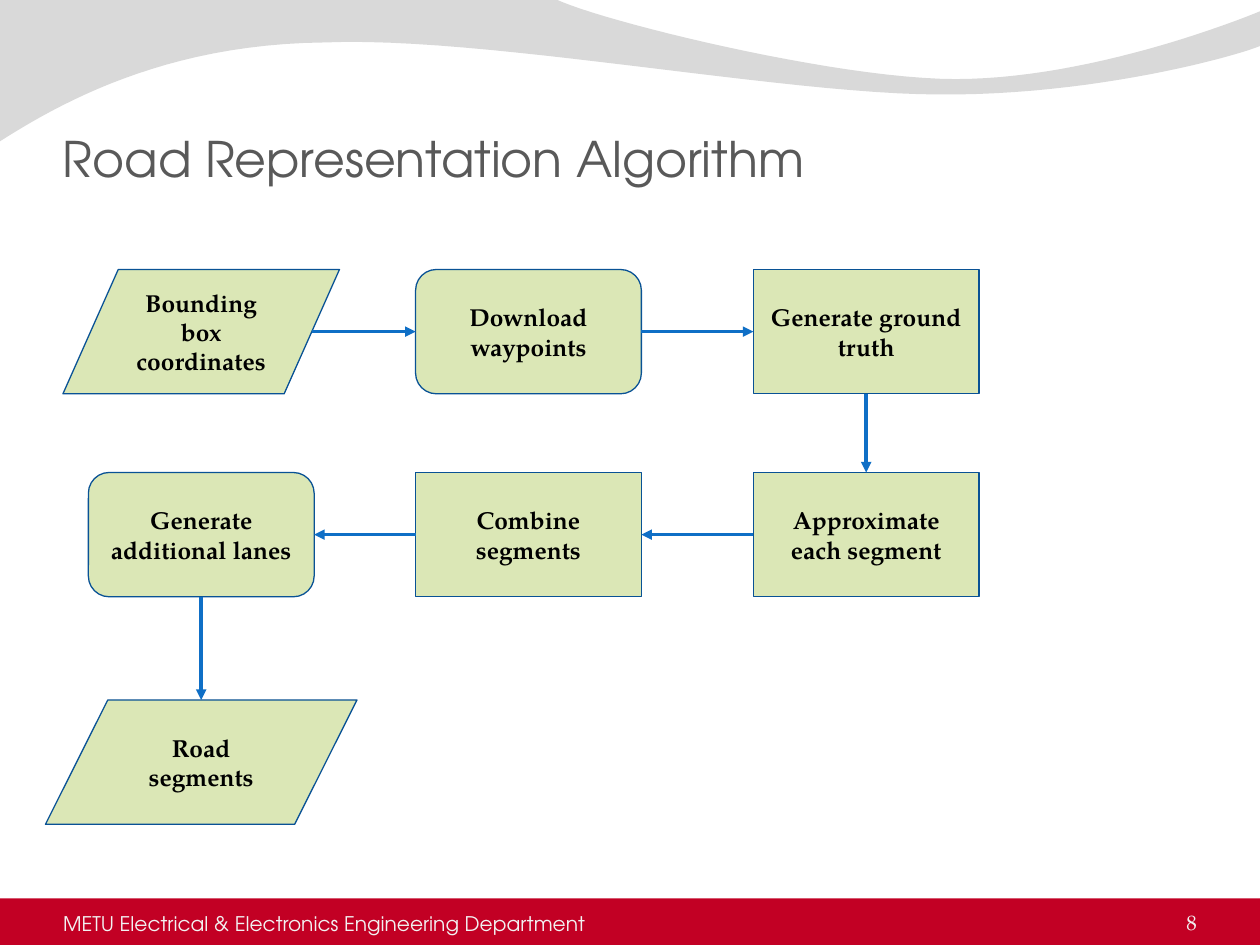
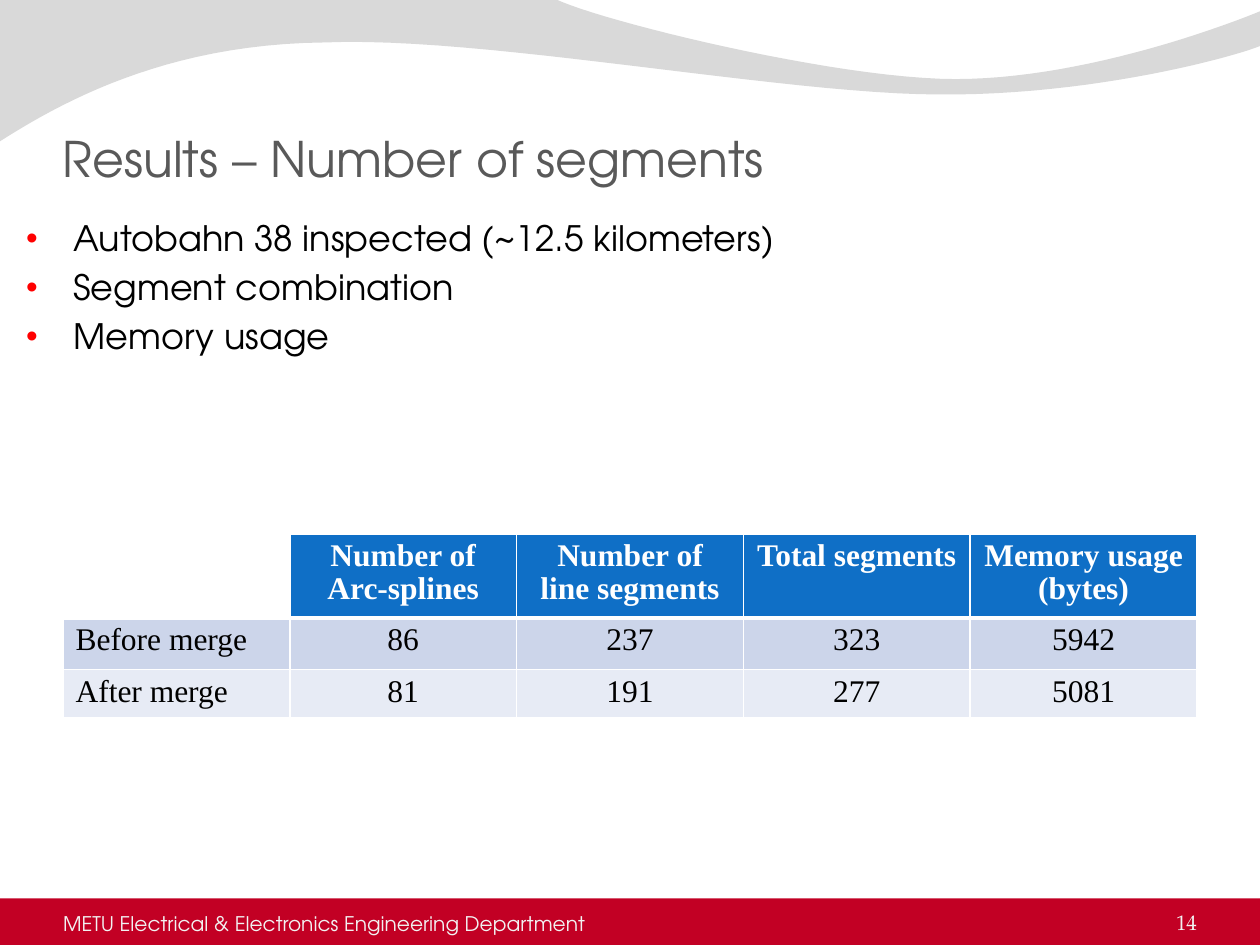
from lxml import etree
from pptx import Presentation
from pptx.dml.color import RGBColor
from pptx.enum.shapes import MSO_CONNECTOR as Connector, MSO_SHAPE as Shape
from pptx.enum.text import MSO_ANCHOR as Anchor, PP_ALIGN as Align
from pptx.oxml import parse_xml
from pptx.oxml.ns import nsdecls, qn
from pptx.util import Pt

FOOTER = "METU Electrical & Electronics Engineering Department"
TITLES = {8: "Road Representation Algorithm", 14: "Results – Number of segments"}
STEPS = [
    ("Bounding box coordinates", Shape.FLOWCHART_DATA, 0, 0, 158),
    ("Download waypoints", Shape.ROUNDED_RECTANGLE, 1, 0, 129),
    ("Generate ground truth", Shape.RECTANGLE, 2, 0, 129),
    ("Approximate each segment", Shape.RECTANGLE, 2, 1, 129),
    ("Combine segments", Shape.RECTANGLE, 1, 1, 129),
    ("Generate additional lanes", Shape.ROUNDED_RECTANGLE, 0, 1, 129),
    ("Road segments", Shape.FLOWCHART_DATA, 0, 2, 178),
]
BULLETS = ["Autobahn 38 inspected (~12.5 kilometers)", "Segment combination", "Memory usage"]
TABLE = [
    ["", "Number of Arc-splines", "Number of line segments", "Total segments", "Memory usage (bytes)"],
    ["Before merge", "86", "237", "323", "5942"],
    ["After merge", "81", "191", "277", "5081"],
]
WAVE = [
    [(317, -0.7)],
    [(343, 12), (478, 45.2), (546, 45.2)],
    [(614, 45.2), (690, 18.7), (720, 6.5)],
    [(720.7, 26)],
    [(708, 31.7), (626, 54.7), (537, 54)],
    [(448, 54), (275, 20.2), (185, 24.3)],
    [(93, 25.2), (33, 59.8), (-0.7, 81.2)],
]

COLORS = {
    "band": "C20024", "wave": "D9D9D9", "title": "595959", "footer": "F2F2F2",
    "step": "DBE7B6", "outline": "095295", "accent": "0F6FC6", "bullet": "FF0000",
    "text": "000000", "white": "FFFFFF", "odd_row": "CCD5EA", "even_row": "E7EBF5",
}
SANS, SERIF, TABLE_FONT = "TeX Gyre Adventor", "TeX Gyre Pagella", "Times New Roman"
WIDTH, HEIGHT, MARGIN = 720, 540, 36
BAND_TOP = 513.4
COLUMN_CENTERS = [115, 302, 495]
ROW_TOPS = [154, 270, 400]
STEP_HEIGHT = 71
TABLE_TOP, ROW_HEIGHTS = 305.3, [47.2, 29.5, 26.6]
CURVE_STEPS = 24


def color(name):
    return RGBColor.from_string(COLORS[name])


def points(*values):
    return [Pt(value) for value in values]


def write(frame, text, font=SANS, size=14, ink="text", bold=False, align=Align.LEFT,
          anchor=Anchor.TOP, insets=None, spacing=None, before=None):
    frame.word_wrap = True
    frame.vertical_anchor = anchor
    if insets:
        frame.margin_left, frame.margin_top, frame.margin_right, frame.margin_bottom = points(*insets)
    frame.text = text
    for paragraph in frame.paragraphs:
        paragraph.alignment = align
        if spacing:
            paragraph.line_spacing = spacing
        if before:
            paragraph.space_before = Pt(before)
        for run in paragraph.runs:
            run.font.name, run.font.size, run.font.bold = font, Pt(size), bold
            run.font.color.rgb = color(ink)


def add_text(slide, box, text, **style):
    shape = slide.shapes.add_textbox(*points(*box))
    write(shape.text_frame, text, **style)
    return shape


def paint(shape, fill, line=None):
    shape.shadow.inherit = False
    shape.fill.solid()
    shape.fill.fore_color.rgb = color(fill)
    if line:
        shape.line.color.rgb = color(line)
        shape.line.width = Pt(0.75)
    else:
        shape.line.fill.background()


def bezier(start, first, second, end):
    for step in range(1, CURVE_STEPS + 1):
        t = step / CURVE_STEPS
        weights = ((1 - t) ** 3, 3 * t * (1 - t) ** 2, 3 * t * t * (1 - t), t ** 3)
        yield tuple(sum(w * p[axis] for w, p in zip(weights, (start, first, second, end)))
                    for axis in (0, 1))


def add_wave(slide):
    outline = [(0, -0.7)]
    for segment in WAVE:
        outline.extend(segment if len(segment) == 1 else bezier(outline[-1], *segment))
    vertices = [points(*vertex) for vertex in outline]
    builder = slide.shapes.build_freeform(*vertices[0])
    builder.add_line_segments(vertices[1:], close=True)
    paint(builder.convert_to_shape(), "wave")


def add_slide(presentation, number):
    slide = presentation.slides.add_slide(presentation.slide_layouts[6])
    band = slide.shapes.add_shape(Shape.RECTANGLE, *points(0, BAND_TOP, WIDTH, HEIGHT - BAND_TOP))
    paint(band, "band")
    add_wave(slide)
    add_text(slide, (MARGIN, 26.6, 648, 80.6), TITLES[number], size=28, ink="title",
             anchor=Anchor.BOTTOM, insets=(0, 3.6, 0, 0))
    footer = {"ink": "footer", "anchor": Anchor.BOTTOM, "insets": (0, 0, 0, 0)}
    add_text(slide, (638.6, BAND_TOP, 45.4, 20.9), str(number), font=SERIF, size=12,
             align=Align.RIGHT, **footer)
    add_text(slide, (MARGIN, BAND_TOP, 315.4, 20.9), FOOTER, size=11.5, **footer)
    return slide


def add_step(slide, text, kind, column, row, width):
    left = COLUMN_CENTERS[column] - width / 2
    shape = slide.shapes.add_shape(kind, *points(left, ROW_TOPS[row], width, STEP_HEIGHT))
    paint(shape, "step", "outline")
    write(shape.text_frame, text, font=SERIF, bold=True, align=Align.CENTER, anchor=Anchor.MIDDLE)
    return shape


def side_point(step, side):
    kind, column, row, width = step[1:]
    reach = width * (0.4 if kind == Shape.FLOWCHART_DATA else 0.5)
    x, y = COLUMN_CENTERS[column], ROW_TOPS[row]
    return {0: (x, y), 1: (x - reach, y + STEP_HEIGHT / 2),
            2: (x, y + STEP_HEIGHT), 3: (x + reach, y + STEP_HEIGHT / 2)}[side]


def add_arrow(slide, source, target, source_shape, target_shape):
    if source[3] != target[3]:
        exit_side, entry_side = 2, 0
    else:
        exit_side, entry_side = (3, 1) if source[2] < target[2] else (1, 3)
    ends = side_point(source, exit_side) + side_point(target, entry_side)
    arrow = slide.shapes.add_connector(Connector.STRAIGHT, *points(*ends))
    if source[1] != Shape.FLOWCHART_DATA:
        arrow.begin_connect(source_shape, exit_side)
    if target[1] != Shape.FLOWCHART_DATA:
        arrow.end_connect(target_shape, entry_side)
    arrow.line.color.rgb = color("accent")
    arrow.line.width = Pt(2)
    etree.SubElement(arrow.line._get_or_add_ln(), qn("a:tailEnd"), type="triangle")
    etree.SubElement(arrow._element.spPr, qn("a:effectLst"))


def add_bullets(slide):
    box = add_text(slide, (7.9, 120.2, 676, 207.4), "\n".join(BULLETS), size=20, before=4)
    for paragraph in box.text_frame.paragraphs:
        properties = paragraph._p.get_or_add_pPr()
        properties.set("marL", str(Pt(27)))
        properties.set("indent", str(Pt(-27)))
        for xml in (f'<a:buClr {nsdecls("a")}><a:srgbClr val="{COLORS["bullet"]}"/></a:buClr>',
                    f'<a:buSzPct {nsdecls("a")} val="95000"/>',
                    f'<a:buFont {nsdecls("a")} typeface="Arial"/>',
                    f'<a:buChar {nsdecls("a")} char="•"/>'):
            properties.append(parse_xml(xml))


def set_borders(cell, bottom):
    properties = cell._tc.get_or_add_tcPr()
    for index, (side, width) in enumerate((("L", 1), ("R", 1), ("T", 1), ("B", bottom))):
        properties.insert(index, parse_xml(
            f'<a:ln{side} {nsdecls("a")} w="{Pt(width)}"><a:solidFill>'
            f'<a:srgbClr val="{COLORS["white"]}"/></a:solidFill></a:ln{side}>'))


def add_results(slide):
    frame = slide.shapes.add_table(len(TABLE), len(TABLE[0]),
                                   *points(MARGIN, TABLE_TOP, 648, sum(ROW_HEIGHTS)))
    table = frame.table
    for row, (values, height) in enumerate(zip(TABLE, ROW_HEIGHTS)):
        table.rows[row].height = Pt(height)
        header = row == 0
        for column, value in enumerate(values):
            cell = table.cell(row, column)
            write(cell.text_frame, value, font=TABLE_FONT, size=18, bold=header, spacing=0.94,
                  ink="white" if header else "text",
                  align=Align.CENTER if column else Align.LEFT)
            if value:
                cell.fill.solid()
                cell.fill.fore_color.rgb = color(("accent", "odd_row", "even_row")[row])
            else:
                cell.fill.background()
            set_borders(cell, 3 if header else 1)


def main():
    presentation = Presentation()
    presentation.slide_width, presentation.slide_height = points(WIDTH, HEIGHT)

    algorithm = add_slide(presentation, 8)
    shapes = [add_step(algorithm, *step) for step in STEPS]
    for pair in zip(STEPS, STEPS[1:], shapes, shapes[1:]):
        add_arrow(algorithm, *pair)

    results = add_slide(presentation, 14)
    add_results(results)
    add_bullets(results)

    presentation.save("out.pptx")


if __name__ == "__main__":
    main()
